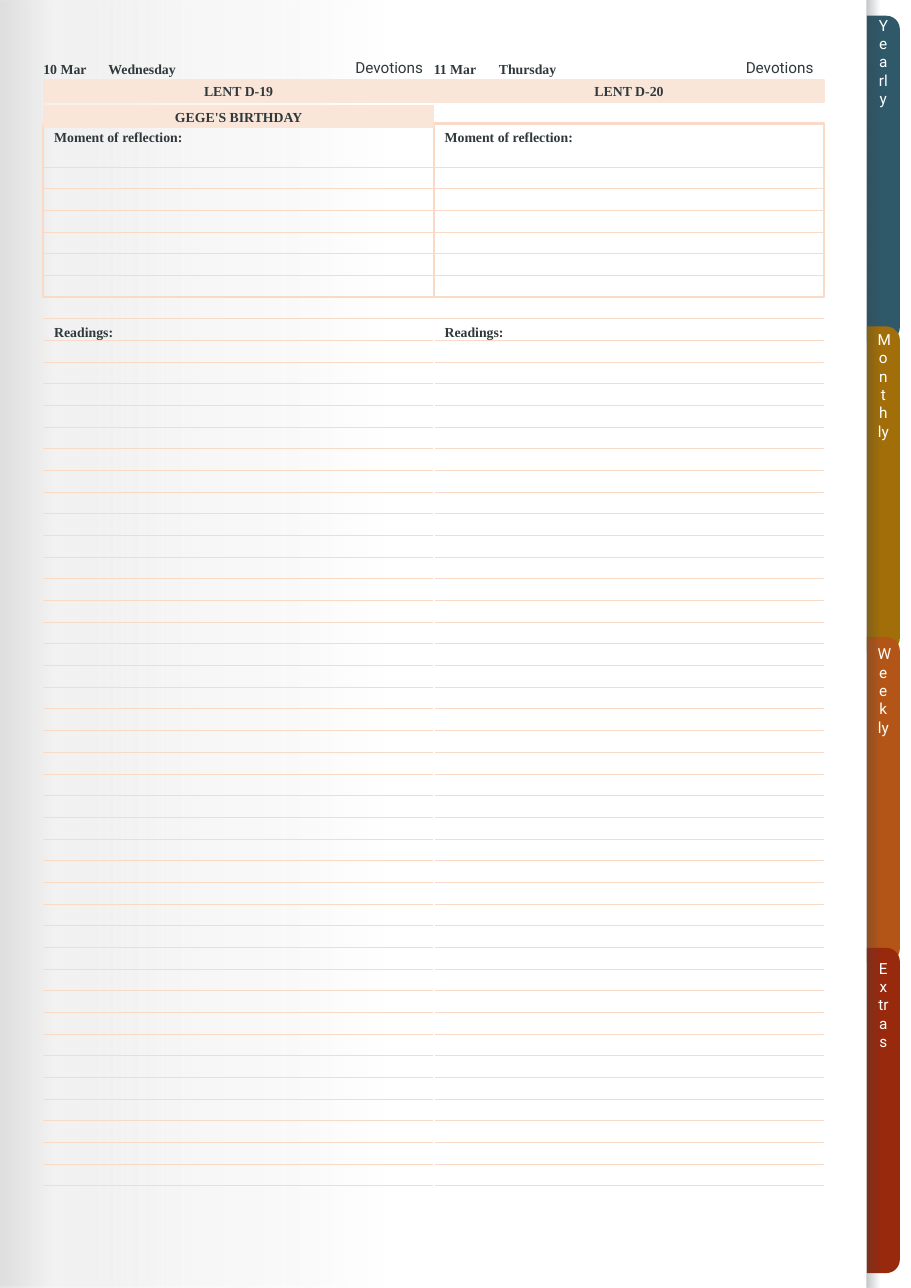
import dataclasses

import lxml.etree
import pptx
import pptx.dml.color
import pptx.enum.shapes
import pptx.enum.text
import pptx.oxml
import pptx.oxml.ns
import pptx.util

Pt = pptx.util.Pt
RGB = pptx.dml.color.RGBColor.from_string
SHAPE = pptx.enum.shapes.MSO_SHAPE
ANCHOR = pptx.enum.text.MSO_ANCHOR
ALIGN = pptx.enum.text.PP_ALIGN
qn = pptx.oxml.ns.qn


@dataclasses.dataclass(frozen=True)
class Theme:
    """Colours, fonts and type sizes of the planner."""
    ink: str = "2F393D"
    paper: str = "FFFFFF"
    rule: str = "F8DAC6"
    banner: str = "FAE6D9"
    serif: str = "Times New Roman"
    sans: str = "Roboto"
    label_size: float = 9
    tab_size: float = 10
    page_fade: tuple = ((0, "D9D9D9", 88), (6, "D9D9D9", 33), (19, "F2F2F2", 65), (43, "FFFFFF", 100))
    tab_fade: tuple = ((0, "384448", 30), (31, "384448", 0))


THEME = Theme()
PAGE_WIDTH, PAGE_HEIGHT = 595.28, 841.89
MARGIN = 28.35
DAY_WIDTH = 255.12
ROW = 14.17
HEADER_TOP = 38.27
BANNER_STEP = 16.7
REFLECTION_ROWS, READING_ROWS = 8, 41
TAB_LEFT, TAB_TOP, TAB_WIDTH, TAB_HEIGHT = 566.4, 10.3, 21.6, 212.6
TAB_STEP, TAB_LABEL_STEP = 203.1, 205.5
DAYS = (
    ("10 Mar", "Wednesday", ("LENT D-19", "GEGE'S BIRTHDAY")),
    ("11 Mar", "Thursday", ("LENT D-20",)),
)
TABS = (("Yearly", "2F5869"), ("Monthly", "A16E09"), ("Weekly", "B35517"), ("Extras", "98290D"))


def add_block(slide, preset, left, top, width, height, fill=None, line=None, weight=1):
    """Add a preset shape with an optional solid fill and outline."""
    block = slide.shapes.add_shape(preset, Pt(left), Pt(top), Pt(width), Pt(height))
    block.shadow.inherit = False
    if fill:
        block.fill.solid()
        block.fill.fore_color.rgb = RGB(fill)
    else:
        block.fill.background()
    if line:
        block.line.color.rgb = RGB(line)
        block.line.width = Pt(weight)
    else:
        block.line.fill.background()
    return block


def add_fade(slide, left, top, width, height, stops):
    """Add a rectangle that fades from left to right through translucent stops."""
    fade = add_block(slide, SHAPE.RECTANGLE, left, top, width, height)
    fade.fill.gradient()
    fade.fill.gradient_angle = 0
    stop_list = next(fade.element.iter(qn("a:gsLst")))
    for old_stop in list(stop_list):
        stop_list.remove(old_stop)
    for position, color, opacity in stops:
        stop = lxml.etree.SubElement(stop_list, qn("a:gs"), pos=str(position * 1000))
        tint = lxml.etree.SubElement(stop, qn("a:srgbClr"), val=color)
        lxml.etree.SubElement(tint, qn("a:alpha"), val=str(opacity * 1000))


def add_rule(slide, start, end, color, weight):
    """Draw a straight line between two points."""
    rule = slide.shapes.add_connector(
        pptx.enum.shapes.MSO_CONNECTOR.STRAIGHT, *(Pt(length) for length in (*start, *end)))
    rule.line.color.rgb = RGB(color)
    rule.line.width = Pt(weight)
    lxml.etree.SubElement(rule.element.spPr, qn("a:effectLst"))


def write(holder, wording, inset=7.2, anchor=ANCHOR.MIDDLE, align=ALIGN.LEFT,
          font=THEME.serif, size=THEME.label_size, color=THEME.ink, bold=True, spacing=1.0):
    """Put one formatted paragraph into a shape."""
    frame = holder.text_frame
    frame.text = wording
    frame.word_wrap = True
    frame.vertical_anchor = anchor
    frame.margin_left, frame.margin_right = Pt(inset), Pt(7.2)
    frame.margin_top = frame.margin_bottom = 0
    paragraph = frame.paragraphs[0]
    paragraph.alignment = align
    paragraph.line_spacing = spacing
    lettering = paragraph.runs[0].font
    lettering.name, lettering.size, lettering.bold = font, Pt(size), bold
    lettering.color.rgb = RGB(color)


def add_label(slide, wording, left, top, width, height, **style):
    """Add a text box with one formatted paragraph."""
    label = slide.shapes.add_textbox(Pt(left), Pt(top), Pt(width), Pt(height))
    write(label, wording, **style)


def add_day_rules(slide, left, top, width):
    """Draw the reflection box and the ruled readings of one day."""
    readings_top = top + (REFLECTION_ROWS + 1) * ROW
    heights = [readings_top + row * ROW for row in range(READING_ROWS)]
    heights += [top + row * ROW for row in range(2, REFLECTION_ROWS)]
    for height in heights:
        add_rule(slide, (left, height), (left + width, height), THEME.rule, 0.5)
    add_block(slide, SHAPE.RECTANGLE, left, top, width, REFLECTION_ROWS * ROW, line=THEME.rule, weight=1.5)
    for heading, heading_top, heading_width in (
            ("Moment of reflection:", top, width), ("Readings:", readings_top, width / 2)):
        add_label(slide, heading, left, heading_top, heading_width, ROW, anchor=ANCHOR.BOTTOM, spacing=0.9)


def add_day_header(slide, left, top, width, date, weekday, events):
    """Add the date, weekday, section name and event banners of one day."""
    for row, event in enumerate(events):
        banner = add_block(slide, SHAPE.RECTANGLE, left, top + ROW + row * BANNER_STEP, width, ROW,
                           fill=THEME.banner, line=THEME.banner)
        write(banner, event, align=ALIGN.CENTER)
    add_label(slide, date, left, top, width / 6, ROW, inset=0)
    add_label(slide, weekday, left + width / 6, top, width / 4.5, ROW, inset=0)
    add_label(slide, "Devotions", left + 0.39 * width, top, 0.61 * width, 1.5 * ROW, anchor=ANCHOR.TOP,
              align=ALIGN.RIGHT, font=THEME.sans, size=THEME.tab_size, bold=False)


def add_tabs(slide, left, top, width, height):
    """Stack the coloured section tabs along the page edge and shade them."""
    for index, (_, color) in enumerate(TABS):
        tab = add_block(slide, SHAPE.ROUND_2_SAME_RECTANGLE, left + (width - height) / 2,
                        top + index * TAB_STEP + (height - width) / 2, height, width, fill=color)
        tab.adjustments[0] = 0.41
        tab.adjustments[1] = 0
        tab.rotation = 90
    add_fade(slide, left, 0, PAGE_WIDTH - left, PAGE_HEIGHT, THEME.tab_fade)
    for index, (section, _) in enumerate(TABS):
        add_label(slide, section, left, top + index * TAB_LABEL_STEP, width, TAB_LABEL_STEP,
                  anchor=ANCHOR.TOP, align=ALIGN.CENTER, font=THEME.sans, size=THEME.tab_size,
                  color=THEME.paper, bold=False)


def main():
    """Build the two-day planner page."""
    planner = pptx.Presentation()
    planner.slide_width, planner.slide_height = Pt(PAGE_WIDTH), Pt(PAGE_HEIGHT)
    page = planner.slides.add_slide(planner.slide_layouts[6])
    add_fade(page, 0, 0, PAGE_WIDTH, PAGE_HEIGHT, THEME.page_fade)
    add_tabs(page, TAB_LEFT, TAB_TOP, TAB_WIDTH, TAB_HEIGHT)
    box_top = HEADER_TOP + 3 * ROW
    day_lefts = [MARGIN + index * DAY_WIDTH for index in range(len(DAYS))]
    for left in day_lefts:
        add_day_rules(page, left, box_top, DAY_WIDTH)
    divider_top = box_top + (REFLECTION_ROWS + 1) * ROW
    add_rule(page, (day_lefts[1], divider_top), (day_lefts[1], PAGE_HEIGHT), THEME.paper, 1.5)
    for left, (date, weekday, events) in zip(day_lefts, DAYS):
        add_day_header(page, left, HEADER_TOP, DAY_WIDTH, date, weekday, events)
    planner.save("out.pptx")


if __name__ == "__main__":
    main()
